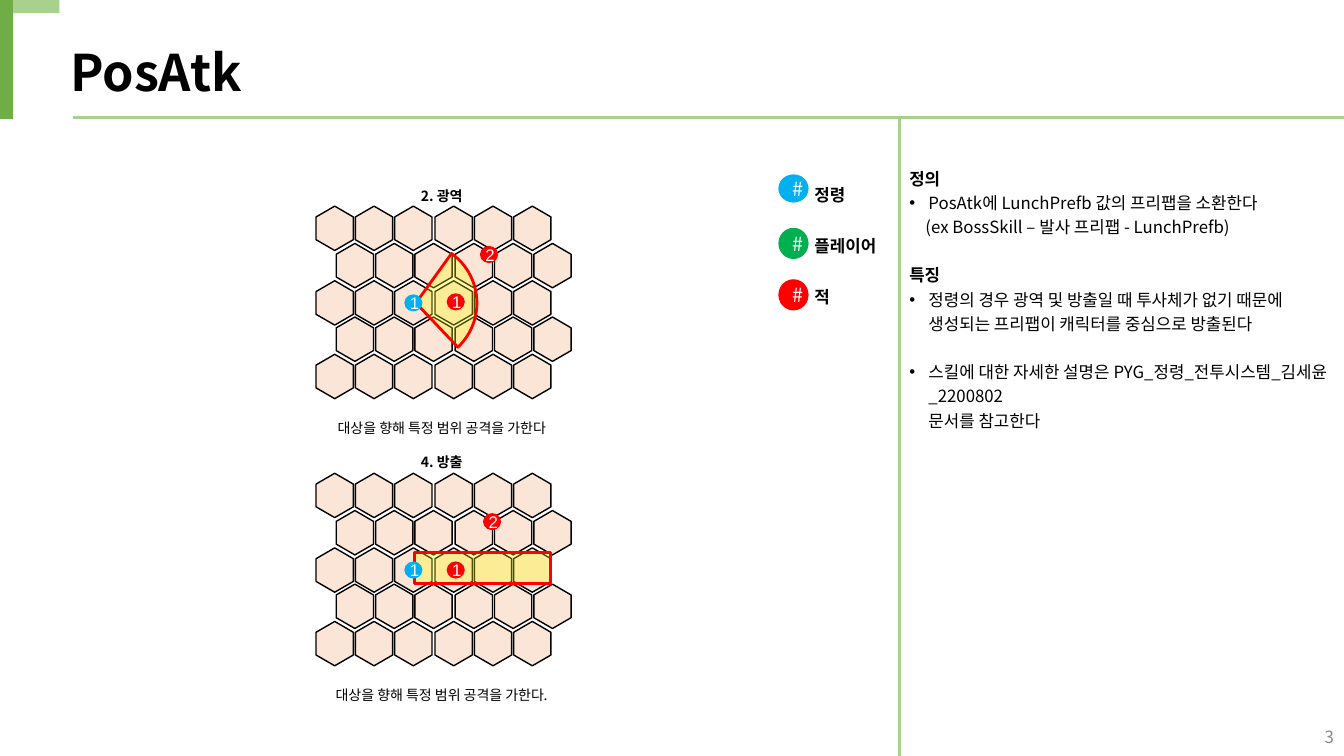
from dataclasses import dataclass
from typing import Any

from lxml.etree import SubElement
from pptx import Presentation
from pptx.dml.color import RGBColor
from pptx.enum.shapes import MSO_CONNECTOR, MSO_SHAPE
from pptx.enum.text import MSO_ANCHOR, PP_ALIGN
from pptx.oxml.ns import qn
from pptx.util import Pt

PX = 9144
NOTO = "Noto Sans CJK KR"
COLORS = {
    "black": "000000", "white": "FFFFFF", "gray": "888888",
    "green": "70AD47", "light": "A9D18E", "tile": "FBE5D6",
    "spirit": "00B0F0", "player": "00B050", "enemy": "FF0000", "area": "FFFF00",
}
HEX_W, HEX_H = 44, 37
COLS, ROWS = 6, 5
COL_STEP, ROW_STEP, ROW_SHIFT = 39.25, 36.75, 20


@dataclass
class Box:
    x: int
    y: int
    w: int
    h: int


@dataclass
class Para:
    text: str
    size: int = 12
    spacing: float = 17.3
    bold: bool = False
    color: str = "black"
    align: Any = PP_ALIGN.LEFT
    before: float = 0
    indent: int = 0
    bullet: bool = False


@dataclass
class Badge:
    box: Box
    text: str
    color: str


@dataclass
class Legend:
    badge: Badge
    label: str
    label_y: int


@dataclass
class Diagram:
    title: str
    caption: str
    title_y: int
    grid_y: int
    caption_y: int
    area: Box
    area_kind: Any
    rotation: int
    angles: tuple[float, ...]
    badges: list[Badge]


LEGENDS = [
    Legend(Badge(Box(772, 173, 30, 28), "#", "spirit"), "정령", 168),
    Legend(Badge(Box(772, 226, 30, 31), "#", "player"), "플레이어", 219),
    Legend(Badge(Box(772, 277, 30, 31), "#", "enemy"), "적", 270),
]
DIAGRAMS = [
    Diagram("2. 광역", "대상을 향해 특정 범위 공격을 가한다", 173, 208, 403,
            Box(352, 240, 121, 121), MSO_SHAPE.PIE, 225, (48.43, 108.92),
            [Badge(Box(401, 292, 18, 17), "1", "spirit"),
             Badge(Box(443, 291, 18, 17), "1", "enemy"),
             Badge(Box(476, 244, 18, 17), "2", "enemy")]),
    Diagram("4. 방출", "대상을 향해 특정 범위 공격을 가한다.", 437, 473, 668,
            Box(411, 548, 135, 31), MSO_SHAPE.RECTANGLE, 0, (),
            [Badge(Box(479, 509, 18, 17), "2", "enemy"),
             Badge(Box(443, 557, 18, 17), "1", "enemy"),
             Badge(Box(401, 557, 18, 17), "1", "spirit")]),
]
NOTES = [
    Para("정의", bold=True),
    Para("PosAtk에 LunchPrefb 값의 프리팹을 소환한다", indent=19, bullet=True),
    Para("(ex BossSkill – 발사 프리팹 - LunchPrefb)", indent=16),
    Para("특징", bold=True, before=17.3),
    Para("정령의 경우 광역 및 방출일 때 투사체가 없기 때문에 생성되는 프리팹이 캐릭터를 중심으로 방출된다",
         indent=19, bullet=True),
    Para("스킬에 대한 자세한 설명은 PYG_정령_전투시스템_김세윤_2200802",
         before=17.3, indent=19, bullet=True),
    Para("문서를 참고한다", indent=19),
]


def rgb(name: str) -> RGBColor:
    return RGBColor.from_string(COLORS[name])


def apply(obj: Any, values: dict[str, Any]) -> None:
    for key, value in values.items():
        setattr(obj, key, value)


def emu(box: Box) -> list[int]:
    return [v * PX for v in (box.x, box.y, box.w, box.h)]


def style_run(r: Any, size: int, color: str, bold: bool = False, font: str = NOTO) -> None:
    apply(r.font, {"size": Pt(size), "bold": bold, "name": font})
    r.font.color.rgb = rgb(color)
    SubElement(r.font._element, qn("a:ea"), typeface=font)


def add_text(s: Any, box: Box, paras: list[Para], anchor: Any = MSO_ANCHOR.TOP) -> None:
    tf = s.shapes.add_textbox(*emu(box)).text_frame
    apply(tf, {"word_wrap": True, "vertical_anchor": anchor})
    for i, para in enumerate(paras):
        p = tf.add_paragraph() if i else tf.paragraphs[0]
        apply(p, {"alignment": para.align, "line_spacing": Pt(para.spacing),
                  "space_before": Pt(para.before)})
        pPr = p._p.get_or_add_pPr()
        if para.indent:
            pPr.set("marL", str(para.indent * PX))
        if para.bullet:
            pPr.set("indent", str(-para.indent * PX))
            SubElement(pPr, qn("a:buFont"), typeface="Arial")
            SubElement(pPr, qn("a:buChar"), char="•")
        r = p.add_run()
        r.text = para.text
        style_run(r, para.size, para.color, para.bold)


def add_shape(s: Any, kind: Any, box: Box, fill: str, line: str = "",
              width: float = 0, rotation: int = 0) -> Any:
    sp = s.shapes.add_shape(kind, *emu(box))
    sp.shadow.inherit = False
    sp.rotation = rotation
    sp.fill.solid()
    sp.fill.fore_color.rgb = rgb(fill)
    if line:
        sp.line.color.rgb = rgb(line)
        sp.line.width = Pt(width)
    else:
        sp.line.fill.background()
    return sp


def add_line(s: Any, x1: int, y1: int, x2: int, y2: int) -> None:
    cx = s.shapes.add_connector(MSO_CONNECTOR.STRAIGHT, *[v * PX for v in (x1, y1, x2, y2)])
    cx.line.color.rgb = rgb("light")
    cx.line.width = Pt(2.25)
    SubElement(cx._element.spPr, qn("a:effectLst"))


def add_badge(s: Any, badge: Badge, size: int, font: str) -> None:
    sp = add_shape(s, MSO_SHAPE.OVAL, badge.box, badge.color)
    sp.text_frame.vertical_anchor = MSO_ANCHOR.MIDDLE
    p = sp.text_frame.paragraphs[0]
    p.alignment = PP_ALIGN.CENTER
    r = p.add_run()
    r.text = badge.text
    style_run(r, size, "white", font=font)


def add_diagram(s: Any, d: Diagram) -> None:
    for text, y, bold in ((d.title, d.title_y, True), (d.caption, d.caption_y, False)):
        add_text(s, Box(282, y, 312, 35),
                 [Para(text, 10, 18, bold, align=PP_ALIGN.CENTER)])
    for row in range(ROWS):
        for col in range(COLS):
            x = 310 + row % 2 * ROW_SHIFT + round(col * COL_STEP)
            y = d.grid_y + round(row * ROW_STEP)
            tile = add_shape(s, MSO_SHAPE.HEXAGON, Box(x, y, HEX_W, HEX_H),
                             "tile", "black", 1, 270)
            tile.adjustments[0] = 0.29
    area = add_shape(s, d.area_kind, d.area, "area", "enemy", 2, d.rotation)
    for i, angle in enumerate(d.angles):
        area.adjustments[i] = angle
    clr = area._element.spPr.find(qn("a:solidFill")).find(qn("a:srgbClr"))
    SubElement(clr, qn("a:alpha"), val="30000")
    for badge in d.badges:
        add_badge(s, badge, 12, "Arial")


def main() -> None:
    prs = Presentation()
    apply(prs, {"slide_width": 1333 * PX, "slide_height": 750 * PX})
    s = prs.slides.add_slide(prs.slide_layouts[6])
    add_text(s, Box(1033, 709, 300, 40),
             [Para("3", color="gray", align=PP_ALIGN.RIGHT)], MSO_ANCHOR.MIDDLE)
    add_line(s, 72, 117, 1333, 117)
    add_shape(s, MSO_SHAPE.RECTANGLE, Box(0, 0, 13, 118), "green")
    add_shape(s, MSO_SHAPE.RECTANGLE, Box(13, 0, 46, 13), "light")
    add_text(s, Box(60, 29, 1037, 71), [Para("PosAtk", 36, 48, True)])
    add_line(s, 892, 750, 892, 117)
    for item in LEGENDS:
        add_badge(s, item.badge, 14, NOTO)
        add_text(s, Box(798, item.label_y, 106, 37), [Para(item.label, 12, 21.6, True)])
    add_text(s, Box(892, 158, 441, 325), NOTES)
    for d in DIAGRAMS:
        add_diagram(s, d)
    prs.save("out.pptx")


if __name__ == "__main__":
    main()
